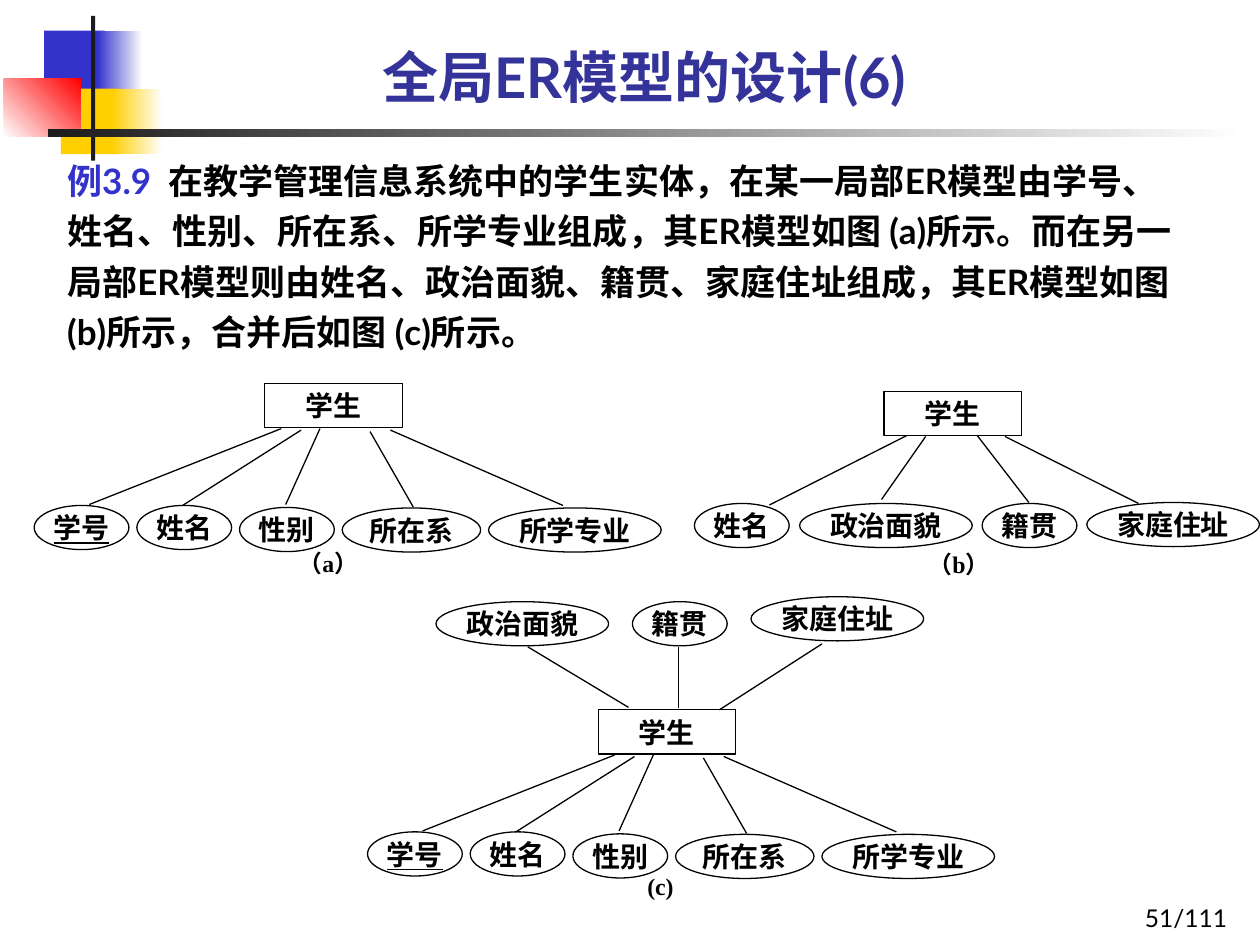
from lxml import etree
from pptx import Presentation
from pptx.dml.color import RGBColor
from pptx.enum.shapes import MSO_CONNECTOR, MSO_SHAPE
from pptx.enum.text import MSO_ANCHOR, MSO_AUTO_SIZE, PP_ALIGN
from pptx.oxml.ns import qn
from pptx.util import Cm, Pt

RECT, OVAL = MSO_SHAPE.RECTANGLE, MSO_SHAPE.OVAL
STRAIGHT = MSO_CONNECTOR.STRAIGHT
TOP, MIDDLE, BOTTOM = MSO_ANCHOR.TOP, MSO_ANCHOR.MIDDLE, MSO_ANCHOR.BOTTOM
CENTER, LEFT = PP_ALIGN.CENTER, PP_ALIGN.LEFT
RIGHT, JUSTIFY = PP_ALIGN.RIGHT, PP_ALIGN.JUSTIFY
FIXED = MSO_AUTO_SIZE.NONE

BLACK = RGBColor(0x00, 0x00, 0x00)
WHITE = RGBColor(0xFF, 0xFF, 0xFF)
BLUE = RGBColor(0x33, 0x33, 0xCC)
NAVY = RGBColor(0x33, 0x33, 0x99)
GOLD = RGBColor(0xFF, 0xCF, 0x01)
RED = RGBColor(0xFF, 0x00, 0x00)
INK = RGBColor(0x1C, 0x1C, 0x1C)

BOX_W, NODE_H = 2.77, 0.89
OVAL_W = {2: 1.91, 3: 2.79, 4: 3.48}  # width by number of characters
KEY = "学号"

# Each attribute: name, oval corner, line start, line end (cm from the entity corner)
BASIC = [
    (KEY, (-4.65, 2.46), (0.33, 0.91), (-3.54, 2.44)),
    ("姓名", (-2.58, 2.46), (0.73, 0.94), (-1.66, 2.46)),
    ("性别", (-0.51, 2.5), (1.11, 0.91), (0.42, 2.44)),
    ("所在系", (1.56, 2.51), (2.12, 0.97), (2.99, 2.49)),
    ("所学专业", (4.51, 2.51), (2.53, 0.94), (6.01, 2.46)),
]
HOME = [
    ("姓名", (-3.82, 2.26), (0.46, 0.89), (-2.31, 2.29)),
    ("政治面貌", (-1.7, 2.26), (0.84, 0.91), (-0.05, 2.18)),
    ("籍贯", (1.98, 2.26), (1.88, 0.89), (2.92, 2.24)),
    ("家庭住址", (4.09, 2.24), (2.44, 0.91), (5.13, 2.26)),
]
ABOVE = [
    ("政治面貌", (-3.27, -2.18), (0.61, -0.05), (-1.42, -1.27)),
    ("籍贯", (0.69, -2.18), (1.62, -0.03), (1.62, -1.27)),
    ("家庭住址", (3.08, -2.28), (2.44, 0), (4.51, -1.33)),
]

# Entity corner, attributes, caption and its corner
MODELS = [
    ((5.34, 7.73), BASIC, "（a）", (5.77, 10.95)),
    ((17.82, 7.89), HOME, "（b）", (18.47, 10.97)),
    ((12.06, 14.31), BASIC + ABOVE, "(c)", (12.8, 17.46)),
]


class Page:
    sans, serif = "Lato", "Times New Roman"

    def __init__(self, deck):
        self.slide = deck.slides.add_slide(deck.slide_layouts[1])
        self.shapes = self.slide.shapes

    def style(self, run, font, size, color, bold=True):
        run.font.name, run.font.size = font, Pt(size)
        run.font.color.rgb, run.font.bold = color, bold

    def place(self, item, x, y, w, h):
        item.left, item.top, item.width, item.height = map(Cm, (x, y, w, h))

    def frame(self, item, anchor):
        text = item.text_frame
        text.word_wrap, text.auto_size = True, FIXED
        text.vertical_anchor = anchor
        return text

    def title(self, words, *spot):
        item = self.shapes.title
        self.place(item, *spot)
        text = self.frame(item, BOTTOM)
        text.text = words
        par = text.paragraphs[0]
        par.alignment = CENTER
        self.style(par.runs[0], self.sans, 32, NAVY)

    def body(self, parts, *spot):
        item = self.slide.placeholders[1]
        self.place(item, *spot)
        par = self.frame(item, TOP).paragraphs[0]
        par.alignment, par.line_spacing, par.space_before = LEFT, 1.2, Pt(0)
        props = par._p.get_or_add_pPr()
        for name in ("marL", "indent", "hangingPunct"):
            props.set(name, "0")
        etree.SubElement(props, qn("a:buNone"))
        for words, color in parts:
            run = par.add_run()
            run.text = words
            self.style(run, self.sans, 20, color)

    def label(self, words, spot, font, size, align, anchor, bold=True, gap=1.0):
        text = self.frame(self.shapes.add_textbox(*map(Cm, spot)), anchor)
        text.text = words
        par = text.paragraphs[0]
        par.alignment, par.line_spacing = align, gap
        self.style(par.runs[0], font, size, BLACK, bold)

    def block(self, spot, color, end=None, angle=0):
        item = self.shapes.add_shape(RECT, *map(Cm, spot))
        item.shadow.inherit = False
        item.line.fill.background()
        if end is None:
            item.fill.solid()
            item.fill.fore_color.rgb = color
            return
        item.fill.gradient()
        item.fill.gradient_angle = angle
        for stop, tone, pos in zip(item.fill.gradient_stops, (color, end), (0, 1)):
            stop.color.rgb, stop.position = tone, pos

    def node(self, kind, words, x, y, w):
        item = self.shapes.add_shape(kind, Cm(x), Cm(y), Cm(w), Cm(NODE_H))
        item.shadow.inherit = False
        item.line.color.rgb, item.line.width = BLACK, Pt(0.75)
        text = self.frame(item, MIDDLE)
        text.margin_left = text.margin_right = 0
        text.margin_top = text.margin_bottom = 0
        text.text = words
        par = text.paragraphs[0]
        par.alignment = CENTER
        self.style(par.runs[0], self.serif, 16, BLACK)
        if kind == RECT:
            item.fill.solid()
            item.fill.fore_color.rgb = WHITE
            par.space_before = Pt(1.5)
        else:
            item.fill.background()
            par.runs[0].font.underline = words == KEY

    def line(self, *ends):
        item = self.shapes.add_connector(STRAIGHT, *map(Cm, ends))
        item.line.color.rgb, item.line.width = BLACK, Pt(0.75)
        etree.SubElement(item._element.spPr, qn("a:effectLst"))

    def model(self, corner, attrs, words, spot):
        x, y = corner
        self.node(RECT, "学生", x, y, BOX_W)
        for name, (dx, dy), (ax, ay), (bx, by) in attrs:
            self.node(OVAL, name, x + dx, y + dy, OVAL_W[len(name)])
            self.line(x + ax, y + ay, x + bx, y + by)
        self.label(words, (*spot, 2.03, 0.86), self.serif, 13.6, JUSTIFY, MIDDLE, gap=0.9)


def main():
    deck = Presentation()
    deck.slide_width, deck.slide_height = Cm(25.4), Cm(19.05)
    page = Page(deck)

    # Corner ornament and rule
    page.block((0.89, 0.62, 1.22, 1.32), BLUE)
    page.block((1.96, 0.62, 0.91, 1.32), BLUE, WHITE)
    page.block((1.23, 1.79, 1.17, 1.32), GOLD)
    page.block((2.26, 1.79, 1.02, 1.32), GOLD, WHITE)
    page.block((0.08, 1.59, 1.55, 1.17), WHITE, RED, 45)
    page.block((1.84, 0.32, 0.08, 2.92), INK)
    page.block((0.96, 2.61, 24.16, 0.15), INK, WHITE)

    # Title, example text and page number
    page.title("全局ER模型的设计(6)", 2.17, 0.13, 21.64, 2.21)
    page.body([
        ("例3.9  ", BLUE),
        ("在教学管理信息系统中的学生实体，在某一局部ER模型由学号、姓名、性别、"
         "所在系、所学专业组成，其ER模型如图 (a)所示。而在另一局部ER模型则由姓名、"
         "政治面貌、籍贯、家庭住址组成，其ER模型如图 (b)所示，合并后如图 (c)所示。", BLACK),
    ], 1.1, 2.92, 23.01, 4.39)
    page.label("51/111", (19.71, 17.65, 5.28, 1.27), page.sans, 14, RIGHT, BOTTOM, False)

    # ER models
    for item in MODELS:
        page.model(*item)

    deck.save("out.pptx")


if __name__ == "__main__":
    main()
